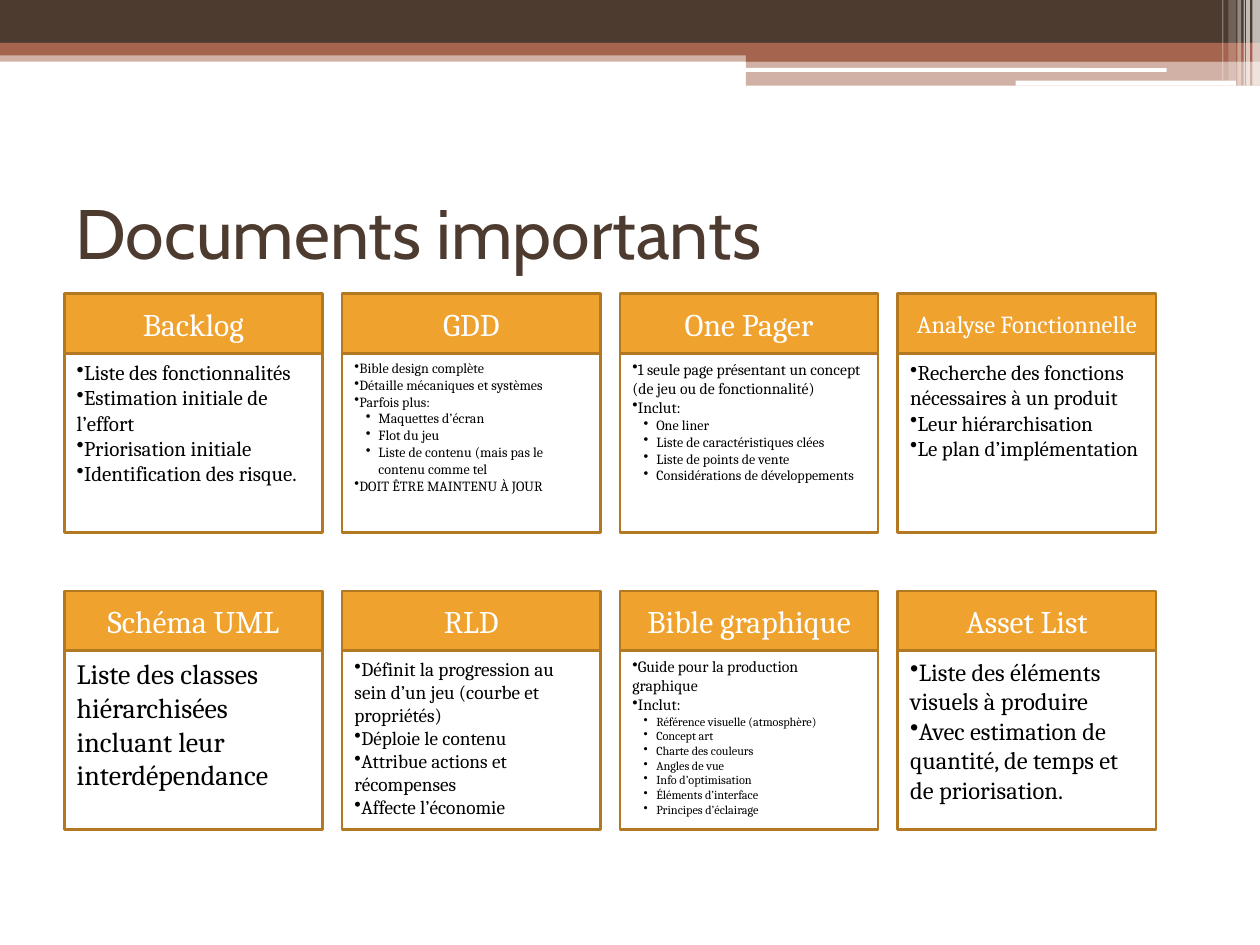
from lxml.etree import SubElement
from pptx import Presentation
from pptx.dml.color import RGBColor
from pptx.enum.shapes import MSO_SHAPE as Kind
from pptx.enum.text import MSO_ANCHOR as Anchor, PP_ALIGN as Align
from pptx.oxml.ns import qn
from pptx.util import Inches, Pt

DARK, RUST, GOLD, EDGE = "4E3B30", "A5644E", "F0A22E", "B27822"
WHITE, BLACK = "FFFFFF", "000000"

# left, top, width, height, colour, opacity in percent
BANDS = [
    (0, 0.4, 10, 0.09, RUST, 50),
    (0, 0, 10, 0.34, DARK, 100),
    (0, 0.34, 10, 0.1, RUST, 100),
    (5.92, 0.39, 4.08, 0.1, RUST, 100),
    (5.92, 0.48, 4.08, 0.2, RUST, 50),
]
BARS = [(5.91, 0.54, 3.35, 0.03), (8.06, 0.64, 1.75, 0.04)]
# left, width, height, opacity in percent
STRIPES = [
    (9.94, 0.06, 0.68, 65), (9.89, 0.03, 0.68, 65), (9.87, 0.01, 0.68, 60),
    (9.82, 0.03, 0.68, 40), (9.75, 0.06, 0.64, 20), (9.7, 0.01, 0.64, 30),
]

# heading, its size, body size, sub-item size, body; a list holds sub-items
CARDS = [
    ("Backlog", 18, 12, None, [
        "Liste des fonctionnalités", "Estimation initiale de l’effort",
        "Priorisation initiale", "Identification des risque."]),
    ("GDD", 18, 8, 8, [
        "Bible design complète", "Détaille mécaniques et systèmes",
        "Parfois plus:",
        ["Maquettes d’écran", "Flot du jeu",
         "Liste de contenu (mais pas le contenu comme tel"],
        "DOIT ÊTRE MAINTENU À JOUR"]),
    ("One Pager", 18, 9, 8, [
        "1 seule page présentant un concept (de jeu ou de fonctionnalité)",
        "Inclut:",
        ["One liner", "Liste de caractéristiques clées",
         "Liste de points de vente", "Considérations de développements"]]),
    ("Analyse Fonctionnelle", 14, 12, None, [
        "Recherche des fonctions nécessaires à un produit",
        "Leur hiérarchisation", "Le plan d’implémentation"]),
    ("Schéma UML", 18, 16, None,
     "Liste des classes hiérarchisées incluant leur interdépendance"),
    ("RLD", 18, 11, None, [
        "Définit la progression au sein d’un jeu (courbe et propriétés)",
        "Déploie le contenu", "Attribue actions et récompenses",
        "Affecte l’économie"]),
    ("Bible graphique", 18, 9, 7, [
        "Guide pour la production graphique", "Inclut:",
        ["Référence visuelle (atmosphère)", "Concept art",
         "Charte des couleurs", "Angles de vue", "Info d’optimisation",
         "Éléments d’interface", "Principes d’éclairage"]]),
    ("Asset List", 18, 14, None, [
        "Liste des éléments visuels à produire",
        "Avec estimation de quantité, de temps et de priorisation."]),
]
COLS, LEFT, TOP = 4, 0.51, 2.33
STEP_X, STEP_Y = 2.205, 2.36
WIDTH, HEAD, BODY = 2.05, 0.475, 1.42

deck = Presentation()
deck.slide_width, deck.slide_height = Inches(10), Inches(7.5)
slide = deck.slides.add_slide(deck.slide_layouts[5])


def paint(target, color):
    target.solid()
    target.fore_color.rgb = RGBColor.from_string(color)


def block(x, y, w, h, fill=None, alpha=100, line=None, kind=Kind.RECTANGLE):
    shape = slide.shapes.add_shape(kind, *map(Inches, (x, y, w, h)))
    shape.shadow.inherit = False
    if fill:
        paint(shape.fill, fill)
        if alpha < 100:
            tint = shape.fill._xPr.find(".//" + qn("a:srgbClr"))
            SubElement(tint, qn("a:alpha"), val=str(alpha * 1000))
    else:
        shape.fill.background()
    if line:
        paint(shape.line.fill, line)
        shape.line.width = Pt(1.5)
    else:
        shape.line.fill.background()
    return shape


def style(para, name, size, color, align=Align.LEFT):
    para.alignment = align
    para.font.name, para.font.size = name, Pt(size)
    paint(para.font.fill, color)


def bullet(para, left, hang):
    props = para._p.get_or_add_pPr()
    props.set("marL", str(Inches(left)))
    props.set("indent", str(Inches(-hang)))
    SubElement(props, qn("a:buChar"), char="•")


def write(frame, body, size, sub):
    frame.word_wrap = True
    frame.vertical_anchor = Anchor.TOP
    if isinstance(body, str):
        frame.text = body
        style(frame.paragraphs[0], "Cambria", size, BLACK)
        return
    rows = []
    for item in body:
        nested = isinstance(item, list)
        rows += [(text, nested) for text in (item if nested else [item])]
    for i, (text, nested) in enumerate(rows):
        para = frame.add_paragraph() if i else frame.paragraphs[0]
        para.text = text
        para.level = int(nested)
        bullet(para, *((0.19, 0.1) if nested else (0, 0)))
        style(para, "Cambria", sub if nested else size, BLACK)


for band in BANDS:
    block(*band)
for bar in BARS:
    block(*bar, WHITE, kind=Kind.ROUNDED_RECTANGLE)
for x, w, h, alpha in STRIPES:
    block(x, 0, w, h, WHITE, alpha)

title = slide.shapes.title
title.left, title.top = Inches(0.5), Inches(1.25)
title.width, title.height = Inches(9), Inches(1.17)
title.text_frame.text = "Documents importants"
title.text_frame.vertical_anchor = Anchor.MIDDLE
style(title.text_frame.paragraphs[0], "Cabin", 40, DARK)

for i, (name, big, size, sub, body) in enumerate(CARDS):
    row, col = divmod(i, COLS)
    x, y = LEFT + col * STEP_X, TOP + row * STEP_Y
    head = block(x, y, WIDTH, HEAD, GOLD, line=EDGE).text_frame
    head.word_wrap = True
    head.text = name
    style(head.paragraphs[0], "Cambria", big, WHITE, Align.CENTER)
    write(block(x, y + HEAD, WIDTH, BODY, line=EDGE).text_frame,
          body, size, sub)

deck.save("out.pptx")
